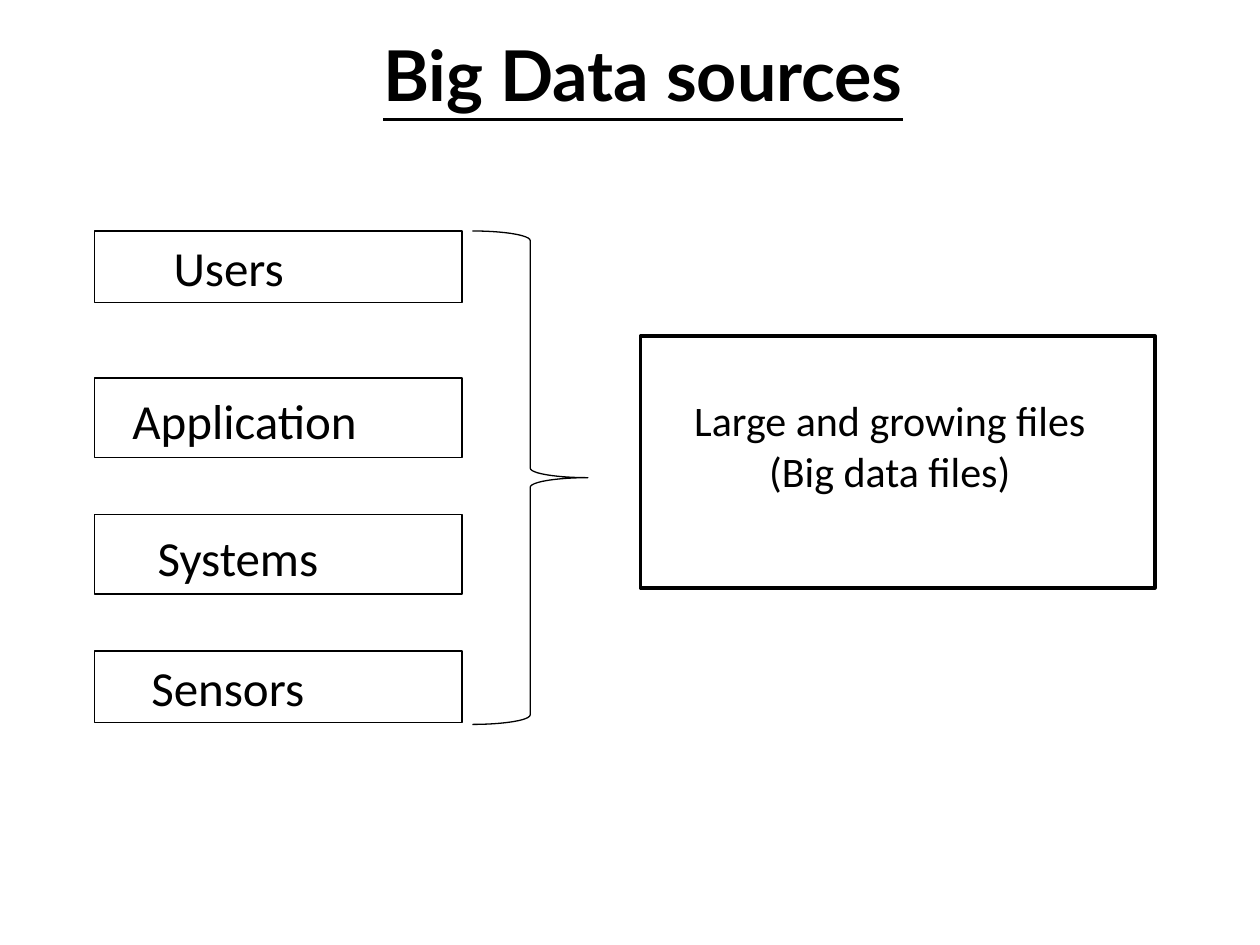
from pptx import Presentation
from pptx.dml.color import RGBColor
from pptx.enum import shapes, text
from pptx.util import Pt

BLACK = RGBColor(0, 0, 0)
WHITE = RGBColor(255, 255, 255)

TITLE = "Big Data sources"
SOURCES = [
    # label, top, height, left inset, top inset
    ("Users", 132, 41, 45.2, 3.6),
    ("Application", 216, 45.5, 21.7, 7.4),
    ("Systems", 294, 45.5, 36.1, 7.4),
    ("Sensors", 372, 41, 32.5, 3.6),
]
RESULT = ["Large and growing files", "(Big data files)"]
SOURCE_LEFT, SOURCE_WIDTH = 54, 210


def add_outline(page, kind, place, weight, fill=None):
    shape = page.shapes.add_shape(kind, *map(Pt, place))
    shape.shadow.inherit = False
    shape.line.color.rgb = BLACK
    shape.line.width = Pt(weight)
    if fill is None:
        shape.fill.background()
    else:
        shape.fill.solid()
        shape.fill.fore_color.rgb = fill
    return shape


def write(shape, lines, font, size, align, anchor=text.MSO_ANCHOR.TOP):
    frame = shape.text_frame
    frame.word_wrap = True
    frame.vertical_anchor = anchor
    frame.text = "\n".join(lines)
    for para in frame.paragraphs:
        para.alignment = align
        para.font.name = font
        para.font.size = Pt(size)
        para.font.color.rgb = BLACK
    return frame


def main():
    deck = Presentation()
    deck.slide_width, deck.slide_height = Pt(720), Pt(540)
    page = deck.slides.add_slide(deck.slide_layouts[6])
    rect = shapes.MSO_SHAPE.RECTANGLE
    center, left = text.PP_ALIGN.CENTER, text.PP_ALIGN.LEFT

    title = page.shapes.add_textbox(Pt(160.5), Pt(12), Pt(414), Pt(60))
    frame = write(title, [TITLE], "Lato", 40, center, text.MSO_ANCHOR.MIDDLE)
    frame.paragraphs[0].font.bold = True
    frame.paragraphs[0].font.underline = True

    for label, top, height, inset_left, inset_top in SOURCES:
        place = (SOURCE_LEFT, top, SOURCE_WIDTH, height)
        box = add_outline(page, rect, place, 0.75, WHITE)
        frame = write(box, [label], "Calibri", 28, left)
        frame.margin_left, frame.margin_top = Pt(inset_left), Pt(inset_top)

    add_outline(page, rect, (366, 192, 294, 144), 2, WHITE)
    caption = page.shapes.add_textbox(Pt(376.5), Pt(222), Pt(264), Pt(93.6))
    write(caption, RESULT, "Calibri", 24, center)

    brace = add_outline(page, shapes.MSO_SHAPE.RIGHT_BRACE, (270, 132, 66, 282), 0.75)
    brace.adjustments[0] = 0.083
    brace.adjustments[1] = 0.5

    deck.save("out.pptx")


if __name__ == "__main__":
    main()
